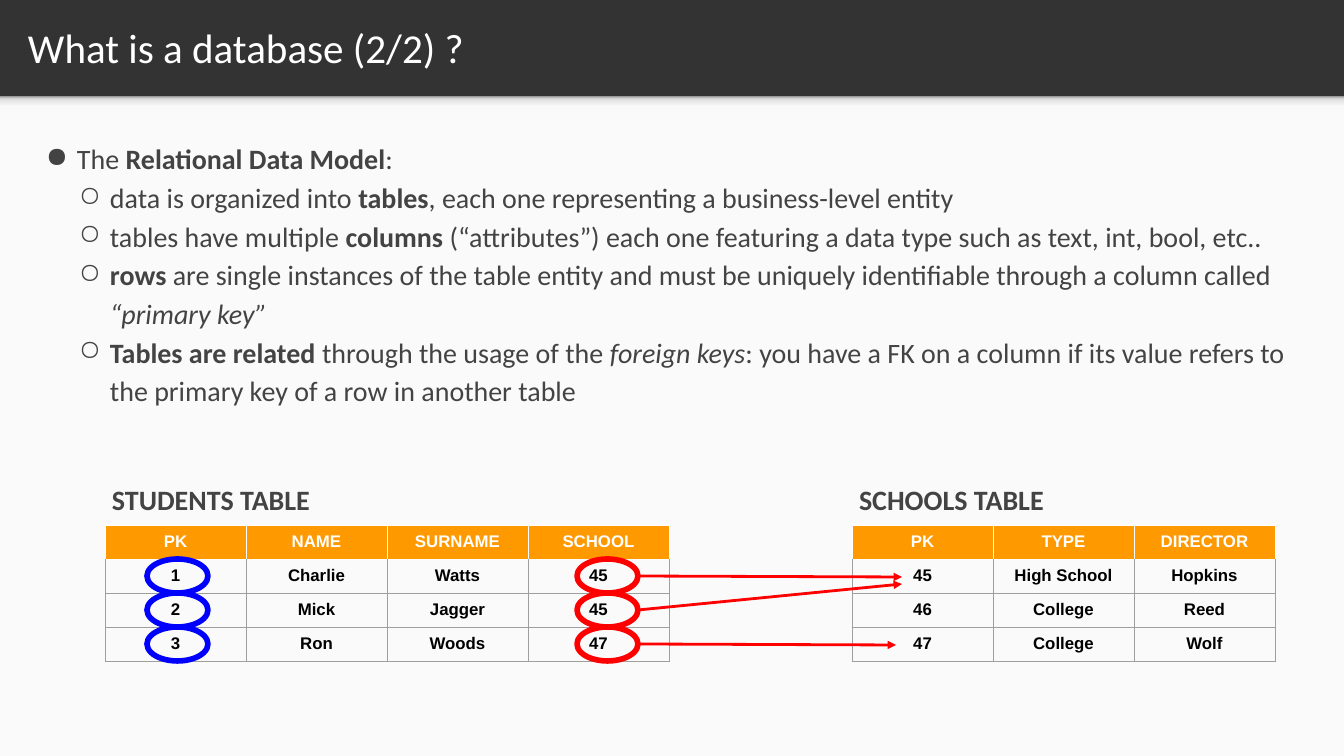
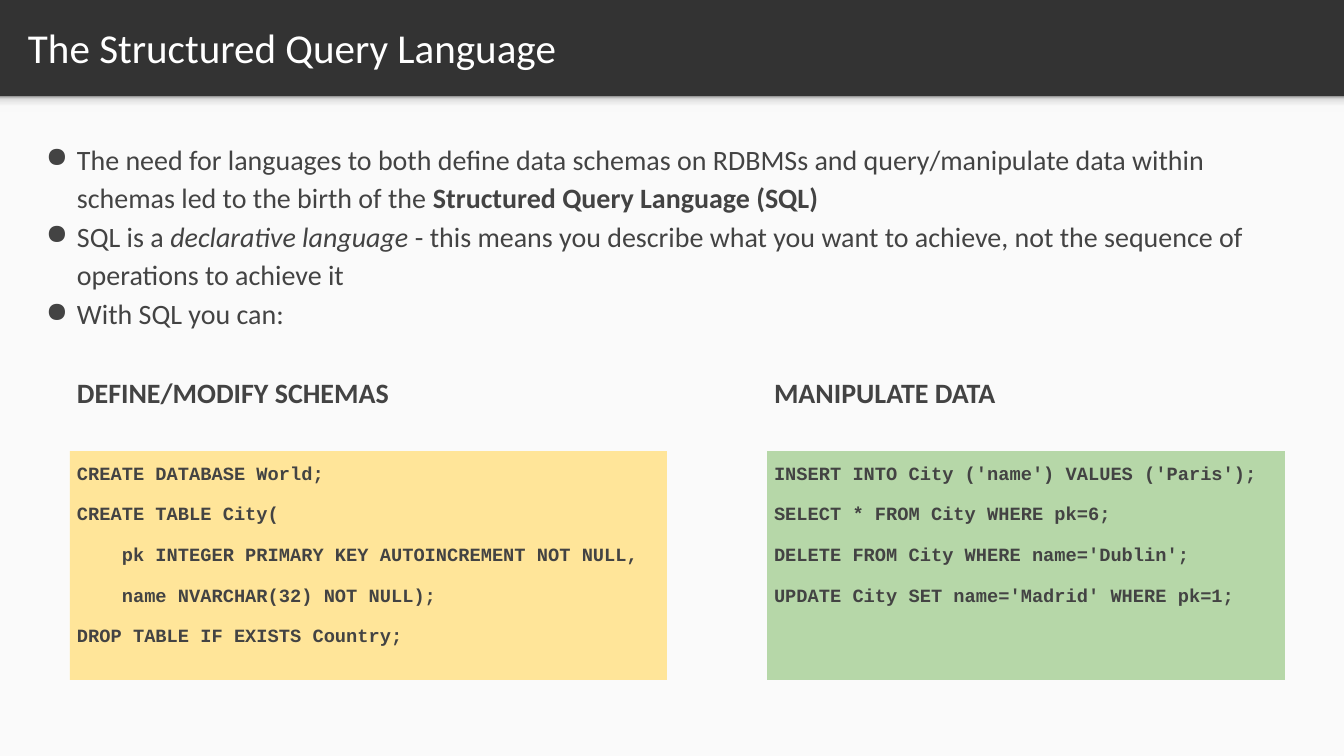
import pptx
import pptx.util
import pptx.dml.color
import pptx.enum.shapes
import pptx.enum.text
import pptx.oxml
import pptx.oxml.ns
from lxml import etree

RGB = pptx.dml.color.RGBColor
SHAPE = pptx.enum.shapes.MSO_SHAPE
ANCHOR = pptx.enum.text.MSO_ANCHOR
ALIGN = pptx.enum.text.PP_ALIGN
Pt = pptx.util.Pt

SCALE = 13600  # EMU in one px
WIDE, HIGH = 1344, 756
BAND = 96  # height of the title band

DARK = RGB(0x33, 0x33, 0x33)
PAPER = RGB(0xFA, 0xFA, 0xFA)
INK = RGB(0x43, 0x43, 0x43)
WHITE = RGB(0xFF, 0xFF, 0xFF)
BLACK = RGB(0, 0, 0)
ORANGE = RGB(0xFF, 0x99, 0x00)
GREY = RGB(0x9E, 0x9E, 0x9E)
BLUE = RGB(0, 0, 0xFF)
RED = RGB(0xFF, 0, 0)
YELLOW = RGB(0xFF, 0xE5, 0x99)
GREEN = RGB(0xB6, 0xD7, 0xA8)
FADE = ((0, "F9F9F9"), (36, "F9F9F9"), (80, "DEDEDE"), (100, "999999"))

# Bullet levels: sign and left margin
BULLETS = (("●", 34), ("○", 67))
HANG = 31

MODEL = [
    (0, ["The ", ("Relational Data Model", "b"), ":"]),
    (1, ["data is organized into ", ("tables", "b"),
         ", each one representing a business-level entity"]),
    (1, ["tables have multiple ", ("columns", "b"),
         " (“attributes”) each one featuring a data type such as text, int, bool, etc.."]),
    (1, [("rows", "b"), " are single instances of the table entity and must be uniquely "
         "identifiable through a column called ", ("“primary key”", "i")]),
    (1, [("Tables are related", "b"), " through the usage of the ", ("foreign keys", "i"),
         ": you have a FK on a column if its value refers to the primary key "
         "of a row in another table"]),
]
PUPILS = [
    ("PK", "NAME", "SURNAME", "SCHOOL"),
    ("1", "Charlie", "Watts", "45"),
    ("2", "Mick", "Jagger", "45"),
    ("3", "Ron", "Woods", "47"),
]
SCHOOLS = [
    ("PK", "TYPE", "DIRECTOR"),
    ("45", "High School", "Hopkins"),
    ("46", "College", "Reed"),
    ("47", "College", "Wolf"),
]
QUERY = [
    (0, ["The need for languages to both define data schemas on RDBMSs and query/manipulate "
         "data within schemas led to the birth of the ",
         ("Structured Query Language (SQL)", "b")]),
    (0, ["SQL is a ", ("declarative language", "i"), " - this means you describe what you "
         "want to achieve, not the sequence of operations to achieve it"]),
    (0, ["With SQL you can:"]),
]
DEFINE = [
    "CREATE DATABASE World;",
    "CREATE TABLE City(",
    "    pk INTEGER PRIMARY KEY AUTOINCREMENT NOT NULL,",
    "    name NVARCHAR(32) NOT NULL);",
    "DROP TABLE IF EXISTS Country;",
]
CHANGE = [
    "INSERT INTO City ('name') VALUES ('Paris');",
    "SELECT * FROM City WHERE pk=6;",
    "DELETE FROM City WHERE name='Dublin';",
    "UPDATE City SET name='Madrid' WHERE pk=1;",
]


def px(*sizes):
    return [pptx.util.Emu(size * SCALE) for size in sizes]


def add_xml(parent, tag, **attrs):
    return etree.SubElement(parent, pptx.oxml.ns.qn(tag), **attrs)


def style(para, size, name, color, bold=None):
    font = para.font
    font.size, font.name, font.bold = Pt(size), name, bold
    font.color.rgb = color


def set_frame(frame, inset=7, anchor=ANCHOR.TOP):
    frame.word_wrap = True
    frame.vertical_anchor = anchor
    frame.margin_left, frame.margin_top, frame.margin_right, frame.margin_bottom = px(*[inset] * 4)
    return frame


def add_text(slide, box, inset=7, anchor=ANCHOR.TOP):
    return set_frame(slide.shapes.add_textbox(*px(*box)).text_frame, inset, anchor)


def add_shape(slide, kind, box, fill=None, line=None):
    shape = slide.shapes.add_shape(kind, *px(*box))
    shape.shadow.inherit = False
    if fill is None:
        shape.fill.background()
    else:
        shape.fill.solid()
        shape.fill.fore_color.rgb = fill
    if line is None:
        shape.line.fill.background()
    else:
        shape.line.color.rgb = line
        shape.line.width = Pt(6)
    return shape


def add_page(deck, title):
    """Blank slide with the shared band, shade and title."""
    slide = deck.slides.add_slide(deck.slide_layouts[6])
    slide.background.fill.solid()
    slide.background.fill.fore_color.rgb = DARK
    add_shape(slide, SHAPE.RECTANGLE, (0, BAND, WIDE, HIGH - BAND), PAPER)

    # Shade under the band
    shade = add_shape(slide, SHAPE.RECTANGLE, (0, BAND, WIDE, 16))
    shade.fill.gradient()
    shade.fill.gradient_angle = 90
    stops = shade.element.spPr.find(".//" + pptx.oxml.ns.qn("a:gsLst"))
    for stop in list(stops):
        stops.remove(stop)
    for pos, color in FADE:
        add_xml(add_xml(stops, "a:gs", pos=str(pos * 1000)), "a:srgbClr", val=color)

    para = add_text(slide, (15, 3, 1296, 89), 13, ANCHOR.MIDDLE).paragraphs[0]
    para.text = title
    style(para, 44, "Calibri", WHITE)
    return slide


def add_list(slide, box, items):
    """Bulleted text; each item is a level and its runs."""
    frame = add_text(slide, box)
    for num, (level, runs) in enumerate(items):
        para = frame.add_paragraph() if num else frame.paragraphs[0]
        sign, left = BULLETS[level]
        para.level = level
        props = para._p.get_or_add_pPr()
        props.set("marL", str(left * SCALE))
        props.set("indent", str(-HANG * SCALE))
        add_xml(add_xml(props, "a:buClr"), "a:srgbClr", val=str(INK))
        add_xml(props, "a:buChar", char=sign)
        para.line_spacing = 1.15
        style(para, 30, "Calibri", INK)
        for part in runs:
            text, mark = (part, "") if isinstance(part, str) else part
            run = para.add_run()
            run.text = text
            if mark == "b":
                run.font.bold = True
            elif mark == "i":
                run.font.italic = True


def add_head(slide, box, text, anchor=ANCHOR.TOP):
    para = add_text(slide, box, anchor=anchor).paragraphs[0]
    para.text = text
    para.line_spacing = 1.15
    style(para, 30, "Calibri", INK, True)


def set_edges(cell, color, top):
    props = cell._tc.get_or_add_tcPr()
    for side in "LRTB":
        line = add_xml(props, "a:ln" + side, w=str(Pt(0.75)))
        tint = top if side == "T" else color
        add_xml(add_xml(line, "a:solidFill"), "a:srgbClr", val=str(tint))


def add_grid(slide, left, top, title, rows):
    """Heading with its table below."""
    wide, high = 141, 32
    cols = len(rows[0])
    add_head(slide, (left, top - 50, 221, 43), title, ANCHOR.MIDDLE)
    table = slide.shapes.add_table(
        len(rows), cols, *px(left, top, wide * cols, high * len(rows))).table
    table.horz_banding = False
    for r, row in enumerate(rows):
        for c, text in enumerate(row):
            cell = table.cell(r, c)
            set_edges(cell, GREY if r else WHITE, GREY if r > 1 else WHITE)
            if r:
                cell.fill.background()
            else:
                cell.fill.solid()
                cell.fill.fore_color.rgb = ORANGE
            cell.margin_left, cell.margin_top, cell.margin_right, cell.margin_bottom = px(7, 7, 7, 7)
            para = cell.text_frame.paragraphs[0]
            para.text = text
            para.alignment = ALIGN.CENTER
            style(para, 18, "Arial", BLACK if r else WHITE, True)


def add_arrow(slide, start, end):
    line = slide.shapes.add_connector(
        pptx.enum.shapes.MSO_CONNECTOR.STRAIGHT, *px(*start, *end))
    line.line.color.rgb = RED
    line.line.width = Pt(3)
    add_xml(line.line._get_or_add_ln(), "a:tailEnd", type="triangle")
    add_xml(line._element.spPr, "a:effectLst")


def add_keys(slide, left, right, top):
    """Rings on the keys of the left table, arrows to the right one."""
    wide, high = 61, 34
    ends = ((50, 52), (50, 59), (44, 120))
    for offset, color in ((42, BLUE), (472, RED)):
        for num in range(len(ends)):
            box = (left + offset, top + high * (num + 1), wide, high)
            add_shape(slide, SHAPE.OVAL, box, line=color)
    for num, (x, y) in enumerate(ends):
        start = (left + 472 + wide, top + high * (num + 1) + high // 2)
        add_arrow(slide, start, (right + x, top + y))


def add_code(slide, box, title, lines, fill):
    """Heading with a filled code panel below."""
    left, top, wide, high = box
    add_head(slide, (left, top, wide, 73), title)
    panel = add_shape(slide, SHAPE.RECTANGLE, (left, top + 87, wide, high - 87), fill)
    frame = set_frame(panel.text_frame)
    for num, text in enumerate(lines):
        para = frame.add_paragraph() if num else frame.paragraphs[0]
        para.text = text
        para.alignment = ALIGN.LEFT
        para.line_spacing = 1.15
        if num:
            para.space_before = Pt(16)
        style(para, 20, "Courier New", INK, True)


def add_model(deck):
    slide = add_page(deck, "What is a database (2/2) ?")
    add_list(slide, (36, 130, 1271, 305), MODEL)
    left, right, top = 105, 852, 525
    add_grid(slide, left, top, "STUDENTS TABLE", PUPILS)
    add_grid(slide, right, top, "SCHOOLS TABLE", SCHOOLS)
    add_keys(slide, left, right, top)


def add_query(deck):
    slide = add_page(deck, "The Structured Query Language")
    add_list(slide, (36, 130, 1271, 229), QUERY)
    add_code(slide, (70, 364, 597, 316), "DEFINE/MODIFY SCHEMAS", DEFINE, YELLOW)
    add_code(slide, (767, 364, 518, 316), "MANIPULATE DATA", CHANGE, GREEN)


def main():
    deck = pptx.Presentation()
    deck.slide_width, deck.slide_height = px(WIDE, HIGH)
    add_model(deck)
    add_query(deck)
    deck.save("out.pptx")


if __name__ == "__main__":
    main()
